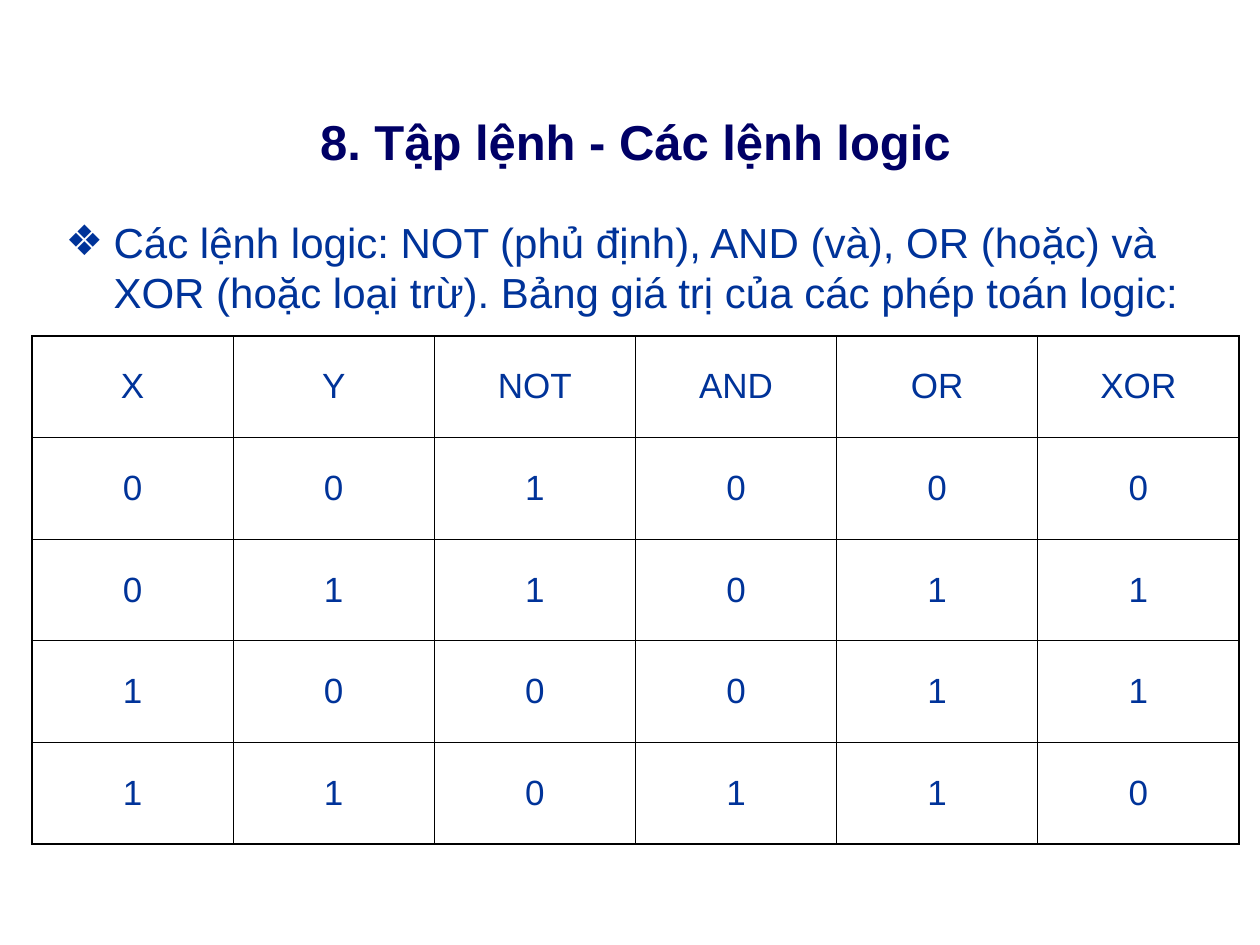
from dataclasses import dataclass

from lxml import etree
from pptx import Presentation
from pptx.dml.color import RGBColor
from pptx.enum import text
from pptx.oxml import ns
from pptx.util import Emu, Pt

PX = 914400 / 126
NAVY, BLUE, BLACK = "000066", "003399", "000000"
THIN, THICK = 0.45, 1.08
TRUTH_TABLE = [
    ["X", "Y", "NOT", "AND", "OR", "XOR"],
    ["0", "0", "1", "0", "0", "0"],
    ["0", "1", "1", "0", "1", "1"],
    ["1", "0", "0", "0", "1", "1"],
    ["1", "1", "0", "1", "1", "0"],
]


@dataclass(frozen=True)
class Area:
    """A rectangle on the page, in px."""
    left: int
    top: int
    width: int
    height: int

    def emu(self) -> list[Emu]:
        """Return left, top, width and height in EMU."""
        return [px(n) for n in (self.left, self.top, self.width, self.height)]


@dataclass(frozen=True)
class Style:
    """The look of a span of text."""
    size: int
    color: str
    bold: bool = False


def px(length: int) -> Emu:
    """Turn px into EMU."""
    return Emu(round(length * PX))


def rgb(value: str) -> RGBColor:
    """Turn a hex string into a colour."""
    return RGBColor.from_string(value)


def write(para, words: str, style: Style, align, before: int = 0) -> None:
    """Add one formatted span to a paragraph."""
    para.alignment = align
    para.space_before = Pt(before)
    span = para.add_run()
    span.text = words
    span.font.name = "Arial"
    span.font.size = Pt(style.size)
    span.font.bold = style.bold
    span.font.color.rgb = rgb(style.color)


def place(box, area: Area, anchor):
    """Move a placeholder and return its first paragraph."""
    box.left, box.top, box.width, box.height = area.emu()
    frame = box.text_frame
    frame.word_wrap = True
    frame.auto_size = text.MSO_AUTO_SIZE.NONE
    frame.vertical_anchor = anchor
    return frame.paragraphs[0]


def add_bullet(para, symbol: str, color: str, indent: int) -> None:
    """Give a paragraph a coloured bullet with a hanging indent."""
    props = para._p.get_or_add_pPr()
    props.set("marL", str(px(indent)))
    props.set("indent", str(-px(indent)))
    paint = etree.SubElement(props, ns.qn("a:buClr"))
    etree.SubElement(paint, ns.qn("a:srgbClr"), val=color)
    etree.SubElement(props, ns.qn("a:buFont"), typeface="Arial")
    etree.SubElement(props, ns.qn("a:buChar"), char=symbol)


def set_borders(cell, widths: dict[str, float]) -> None:
    """Draw the sides of a cell, keyed L, R, T and B in that order."""
    props = cell._tc.get_or_add_tcPr()
    for place_at, (side, width) in enumerate(widths.items()):
        line = etree.Element(ns.qn(f"a:ln{side}"), w=str(Pt(width)))
        fill = etree.SubElement(line, ns.qn("a:solidFill"))
        etree.SubElement(fill, ns.qn("a:srgbClr"), val=BLACK)
        props.insert(place_at, line)


def add_truth_table(page, area: Area, rows: list[list[str]], style: Style) -> None:
    """Add an even grid with a thick outer frame."""
    last_row, last_column = len(rows) - 1, len(rows[0]) - 1
    table = page.shapes.add_table(len(rows), len(rows[0]), *area.emu()).table
    table.first_row = table.horz_banding = False
    for r, values in enumerate(rows):
        for c, value in enumerate(values):
            cell = table.cell(r, c)
            cell.fill.background()
            cell.vertical_anchor = text.MSO_ANCHOR.MIDDLE
            write(cell.text_frame.paragraphs[0], value, style, text.PP_ALIGN.CENTER, 5)
            outer = {"L": c == 0, "R": c == last_column, "T": r == 0, "B": r == last_row}
            set_borders(cell, {side: THICK if edge else THIN for side, edge in outer.items()})


def main() -> None:
    """Build and save the deck."""
    deck = Presentation()
    deck.slide_width, deck.slide_height = px(1260), px(945)
    page = deck.slides.add_slide(deck.slide_layouts[1])

    title = place(page.shapes.title, Area(32, 105, 1207, 72), text.MSO_ANCHOR.MIDDLE)
    write(title, "8. Tập lệnh - Các lệnh logic", Style(28, NAVY, True), text.PP_ALIGN.CENTER)

    body = place(page.placeholders[1], Area(53, 210, 1207, 116), text.MSO_ANCHOR.TOP)
    write(body, "Các lệnh logic: NOT (phủ định), AND (và), OR (hoặc) và XOR (hoặc loại trừ). "
          "Bảng giá trị của các phép toán logic:", Style(24, BLUE), text.PP_ALIGN.LEFT, 6)
    add_bullet(body, "❖", BLUE, 48)

    add_truth_table(page, Area(32, 336, 1207, 508), TRUTH_TABLE, Style(20, BLUE))
    deck.save("out.pptx")


if __name__ == "__main__":
    main()
